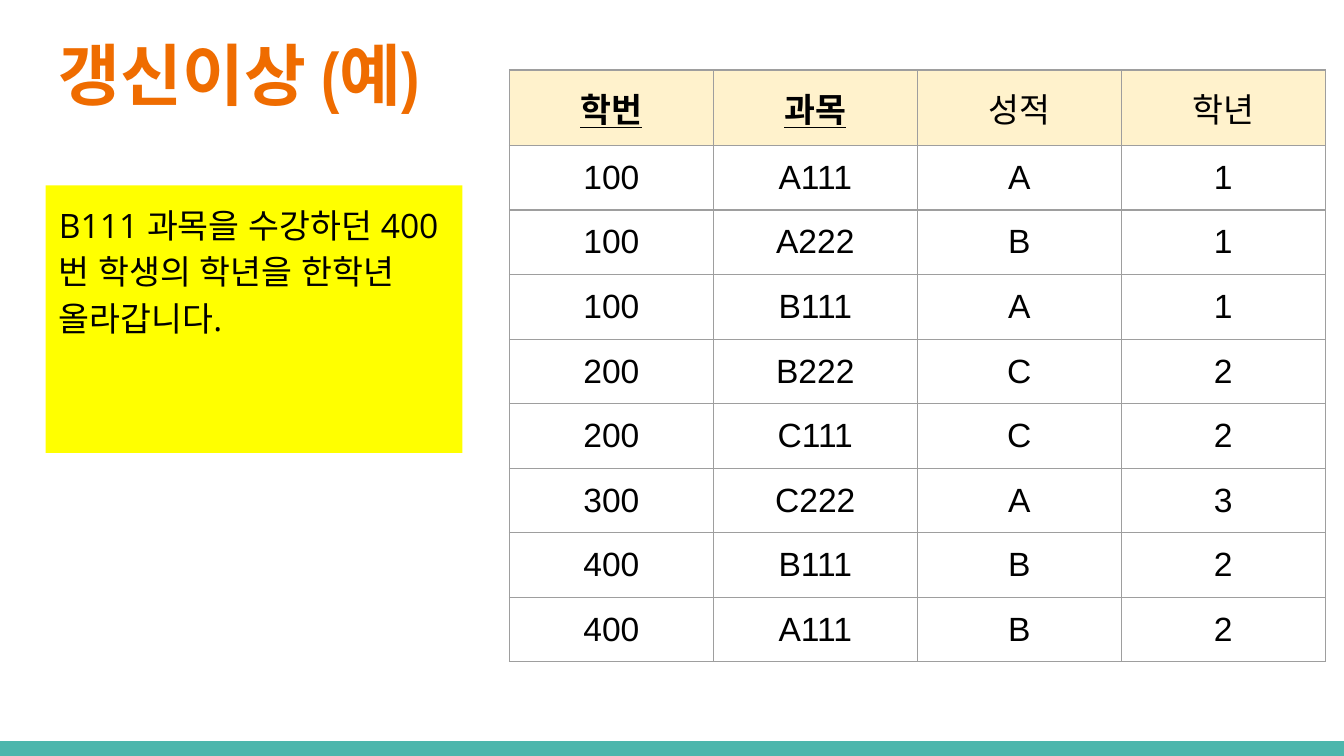
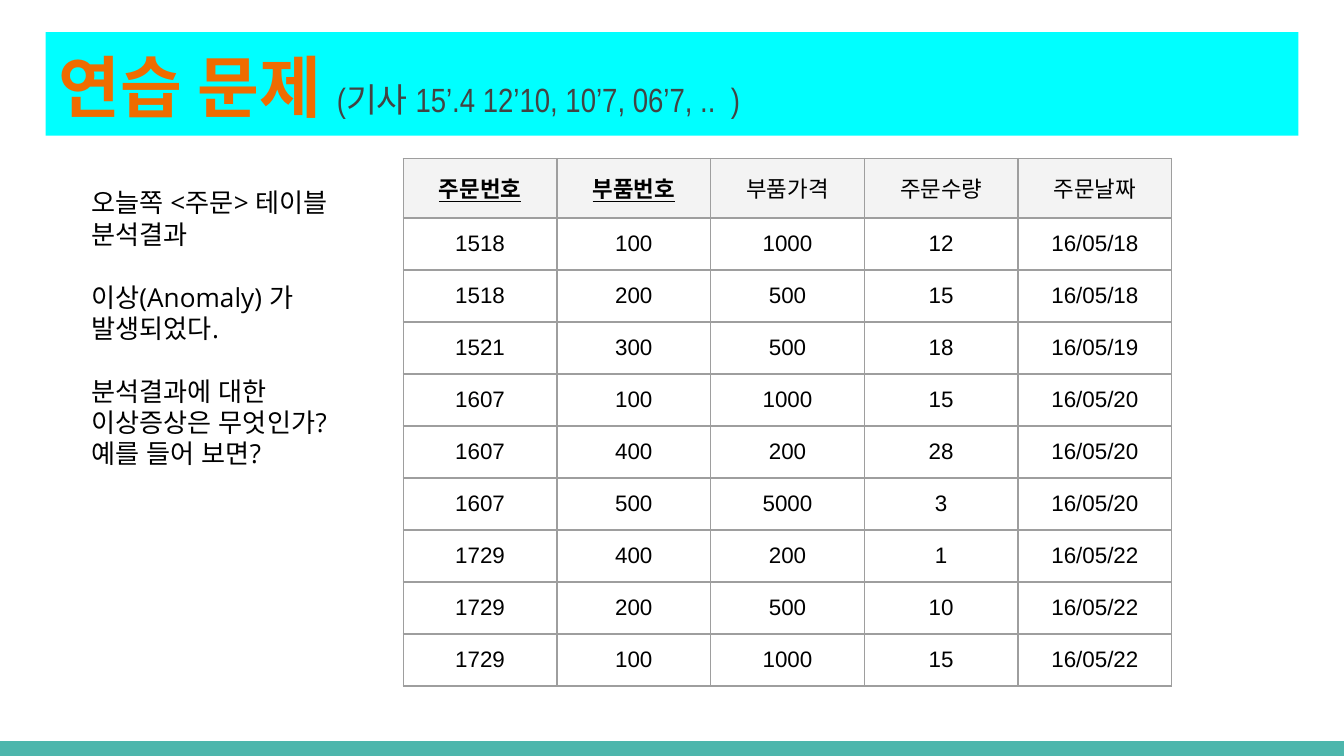
from dataclasses import dataclass

from lxml.etree import SubElement
from pptx import Presentation
from pptx.dml.color import RGBColor
from pptx.enum.shapes import MSO_SHAPE
from pptx.enum.text import MSO_ANCHOR, PP_ALIGN
from pptx.oxml.ns import qn
from pptx.util import Inches, Pt


@dataclass(frozen=True)
class Theme:
    accent: str = "EF6C00"
    band: str = "4DB6AC"
    ink: str = "000000"
    subtitle: str = "434343"
    border: str = "9E9E9E"
    note: str = "FFFF00"
    title_band: str = "00FFFF"
    grade_head: str = "FFF2CC"
    order_head: str = "F3F3F3"
    title_font: str = "Arial Narrow"
    body_font: str = "Open Sans"
    table_font: str = "Arial"
    title_size: int = 36
    large: int = 18
    medium: int = 14
    small: int = 12
    inset: float = 0.1
    border_width: float = 0.75


THEME = Theme()
WIDTH = 10
HEIGHT = WIDTH * 9 / 16
MARGIN = 0.34
TITLE_HEIGHT = 0.77
BAND_HEIGHT = 0.11

# Content: the first two columns of each table are its key
UPDATE_TITLE = "갱신이상 (예)"
UPDATE_NOTE = "B111 과목을 수강하던 400번 학생의 학년을 한학년 올라갑니다."
GRADES = [
    ("학번", "과목", "성적", "학년"),
    ("100", "A111", "A", "1"),
    ("100", "A222", "B", "1"),
    ("100", "B111", "A", "1"),
    ("200", "B222", "C", "2"),
    ("200", "C111", "C", "2"),
    ("300", "C222", "A", "3"),
    ("400", "B111", "B", "2"),
    ("400", "A111", "B", "2"),
]

EXERCISE_TITLE = "연습 문제 "
EXERCISE_SOURCE = "(기사 15’.4 12’10, 10’7, 06’7, ..  )"
QUESTIONS = [
    "오늘쪽 <주문> 테이블 분석결과",
    "이상(Anomaly) 가 발생되었다.",
    "분석결과에 대한 이상증상은 무엇인가? 예를 들어 보면?",
]
ORDERS = [
    ("주문번호", "부품번호", "부품가격", "주문수량", "주문날짜"),
    ("1518", "100", "1000", "12", "16/05/18"),
    ("1518", "200", "500", "15", "16/05/18"),
    ("1521", "300", "500", "18", "16/05/19"),
    ("1607", "100", "1000", "15", "16/05/20"),
    ("1607", "400", "200", "28", "16/05/20"),
    ("1607", "500", "5000", "3", "16/05/20"),
    ("1729", "400", "200", "1", "16/05/22"),
    ("1729", "200", "500", "10", "16/05/22"),
    ("1729", "100", "1000", "15", "16/05/22"),
]
KEY_COLUMNS = 2


def write(para, text, *, size, font, color=THEME.ink, bold=False,
          underline=False, korean=True):
    """Add one formatted run; korean extends the font to Korean text."""
    span = para.add_run()
    span.text = text
    span.font.size = Pt(size)
    span.font.name = font
    span.font.bold = bold
    span.font.underline = underline
    span.font.color.rgb = RGBColor.from_string(color)
    if korean:
        for tag in ("a:ea", "a:cs"):
            SubElement(span.font._element, qn(tag)).set("typeface", font)


def set_margins(holder):
    for side in ("left", "right", "top", "bottom"):
        setattr(holder, f"margin_{side}", Inches(THEME.inset))


def add_box(page, left, top, width, height, fill=None):
    """Add a rectangle, filled or clear, ready for top-left text."""
    box = page.shapes.add_shape(
        MSO_SHAPE.RECTANGLE, *map(Inches, (left, top, width, height)))
    box.shadow.inherit = False
    box.line.fill.background()
    if fill:
        box.fill.solid()
        box.fill.fore_color.rgb = RGBColor.from_string(fill)
    else:
        box.fill.background()
    frame = box.text_frame
    frame.word_wrap = True
    frame.vertical_anchor = MSO_ANCHOR.TOP
    set_margins(frame)
    frame.paragraphs[0].alignment = PP_ALIGN.LEFT
    return box


def add_page(deck, title, top, width, fill=None):
    """Add a page with the footer band and title; return page and title line."""
    page = deck.slides.add_slide(deck.slide_layouts[6])
    add_box(page, 0, HEIGHT - BAND_HEIGHT, WIDTH, BAND_HEIGHT, THEME.band)
    para = add_box(page, MARGIN, top, width, TITLE_HEIGHT,
                   fill).text_frame.paragraphs[0]
    write(para, title, size=THEME.title_size, font=THEME.title_font,
          color=THEME.accent, bold=True)
    return page, para


def add_borders(cell):
    properties = cell._tc.get_or_add_tcPr()
    for side in ("a:lnL", "a:lnR", "a:lnT", "a:lnB"):
        line = SubElement(properties, qn(side), w=str(Pt(THEME.border_width)))
        paint = SubElement(line, qn("a:solidFill"))
        SubElement(paint, qn("a:srgbClr"), val=THEME.border)


def add_grid(page, rows, left, top, width, head_row, body_row, *, size, fill, anchor):
    """Add a bordered table whose header row marks the key columns."""
    count = len(rows[0])
    height = head_row + body_row * (len(rows) - 1)
    table = page.shapes.add_table(
        len(rows), count, *map(Inches, (left, top, width, height))).table
    table.first_row = table.horz_banding = False
    for column in table.columns:
        column.width = Inches(width / count)
    for r, values in enumerate(rows):
        table.rows[r].height = Inches(body_row if r else head_row)
        for c, value in enumerate(values):
            cell = table.cell(r, c)
            cell.vertical_anchor = anchor
            set_margins(cell)
            add_borders(cell)
            if r:
                cell.fill.background()
            else:
                cell.fill.solid()
                cell.fill.fore_color.rgb = RGBColor.from_string(fill)
            para = cell.text_frame.paragraphs[0]
            para.alignment = PP_ALIGN.CENTER
            key = r == 0 and c < KEY_COLUMNS
            write(para, value, size=size, font=THEME.table_font,
                  bold=key, underline=key, korean=False)


deck = Presentation()
deck.slide_width, deck.slide_height = Inches(WIDTH), Inches(HEIGHT)

# Update anomaly: note on the left, grades on the right
page, _ = add_page(deck, UPDATE_TITLE, 0.15, 3.55)
para = add_box(page, MARGIN, 1.38, 3.1, 1.99, THEME.note).text_frame.paragraphs[0]
para.line_spacing = 1.15
para.space_after = Pt(16)
write(para, UPDATE_NOTE, size=THEME.large, font=THEME.body_font)
add_grid(page, GRADES, 3.79, 0.52, 6.07, 0.56, 0.48, size=THEME.large,
         fill=THEME.grade_head, anchor=MSO_ANCHOR.MIDDLE)

# Exercise: banded title, orders table and questions
page, para = add_page(deck, EXERCISE_TITLE, 0.24, WIDTH - 2 * MARGIN, THEME.title_band)
write(para, EXERCISE_SOURCE, size=THEME.large, font=THEME.title_font,
      color=THEME.subtitle)
add_grid(page, ORDERS, 3, 1.18, 5.72, 0.44, 0.38, size=THEME.small,
         fill=THEME.order_head, anchor=MSO_ANCHOR.TOP)
frame = add_box(page, 0.58, 1.29, 2.06, 2.83).text_frame
for index, question in enumerate(QUESTIONS):
    para = frame.add_paragraph() if index else frame.paragraphs[0]
    para.alignment = PP_ALIGN.LEFT
    para.space_after = Pt(THEME.medium * 1.2)
    write(para, question, size=THEME.medium, font=THEME.body_font)

deck.save("out.pptx")
